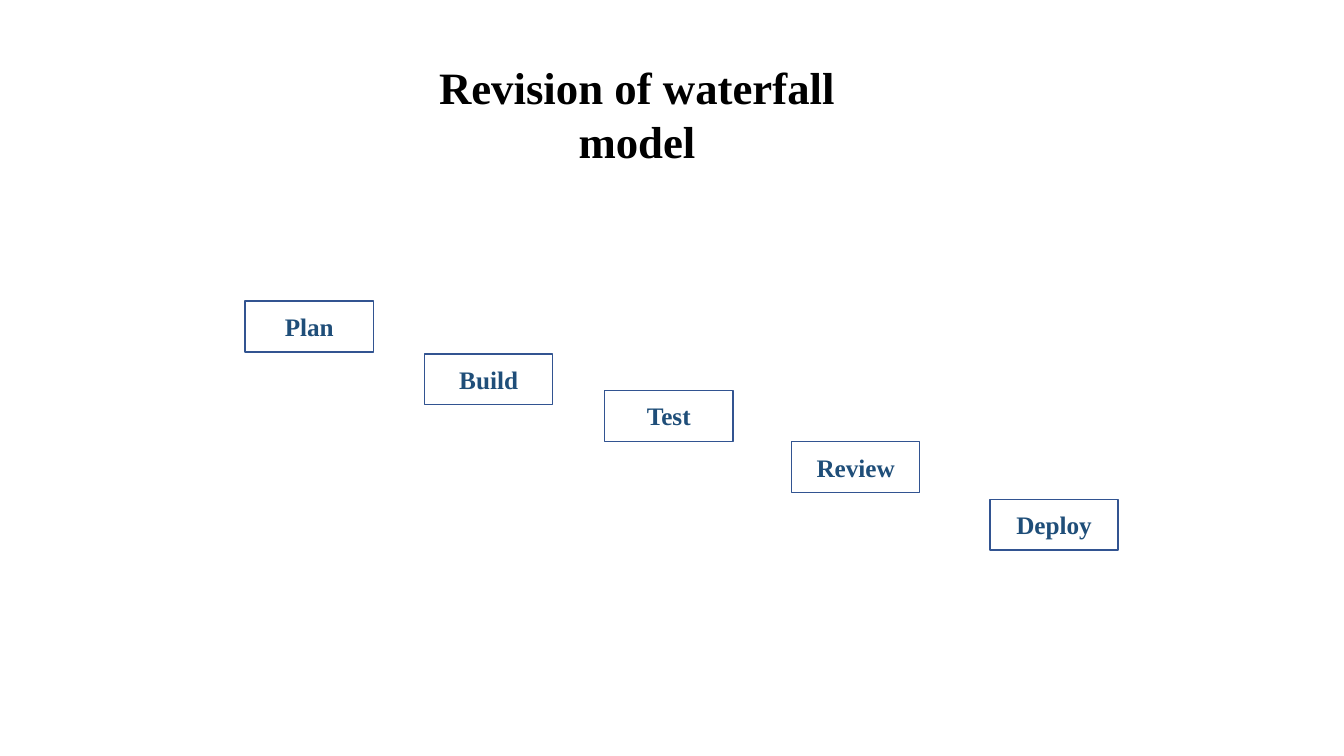
"""Build a slide showing the stages of the waterfall model."""
from pptx import Presentation, util as u
from pptx.dml.color import RGBColor
from pptx.enum import shapes, text

COLOURS = {"paper": "FFFFFF", "border": "325491", "stage": "1F4E79", "title": "000000"}
FONT = "Times New Roman"
STAGE_WIDTH, STAGE_HEIGHT = 3.23, 1.28
STAGES = [
    ("Plan", 6.18, 7.59),
    ("Build", 10.7, 8.92),
    ("Test", 15.24, 9.84),
    ("Review", 19.95, 11.13),
    ("Deploy", 24.95, 12.58),
]


def colour(name):
    return RGBColor.from_string(COLOURS[name])


def write(frame, words, size, ink):
    frame.word_wrap = True
    frame.auto_size = text.MSO_AUTO_SIZE.NONE
    frame.vertical_anchor = text.MSO_ANCHOR.MIDDLE
    para = frame.paragraphs[0]
    para.text = words
    para.alignment = text.PP_ALIGN.CENTER
    para.font.name = FONT
    para.font.size = u.Pt(size)
    para.font.bold = True
    para.font.color.rgb = colour(ink)


def add_title(page, words):
    title = page.shapes.title
    title.left, title.top = u.Cm(10.06), u.Cm(1.37)
    title.width, title.height = u.Cm(11.99), u.Cm(3)
    write(title.text_frame, words, 32, "title")


def add_stage(page, name, left, top):
    box = page.shapes.add_shape(
        shapes.MSO_SHAPE.RECTANGLE,
        u.Cm(left), u.Cm(top), u.Cm(STAGE_WIDTH), u.Cm(STAGE_HEIGHT),
    )
    box.shadow.inherit = False
    box.fill.solid()
    box.fill.fore_color.rgb = colour("paper")
    box.line.color.rgb = colour("border")
    box.line.width = u.Pt(1)
    write(box.text_frame, name, 18, "stage")


def main():
    deck = Presentation()
    deck.slide_width, deck.slide_height = u.Cm(33.87), u.Cm(19.05)
    page = deck.slides.add_slide(deck.slide_layouts.get_by_name("Title Only"))
    add_title(page, "Revision of waterfall model")
    for stage in STAGES:
        add_stage(page, *stage)
    deck.save("out.pptx")


main()
